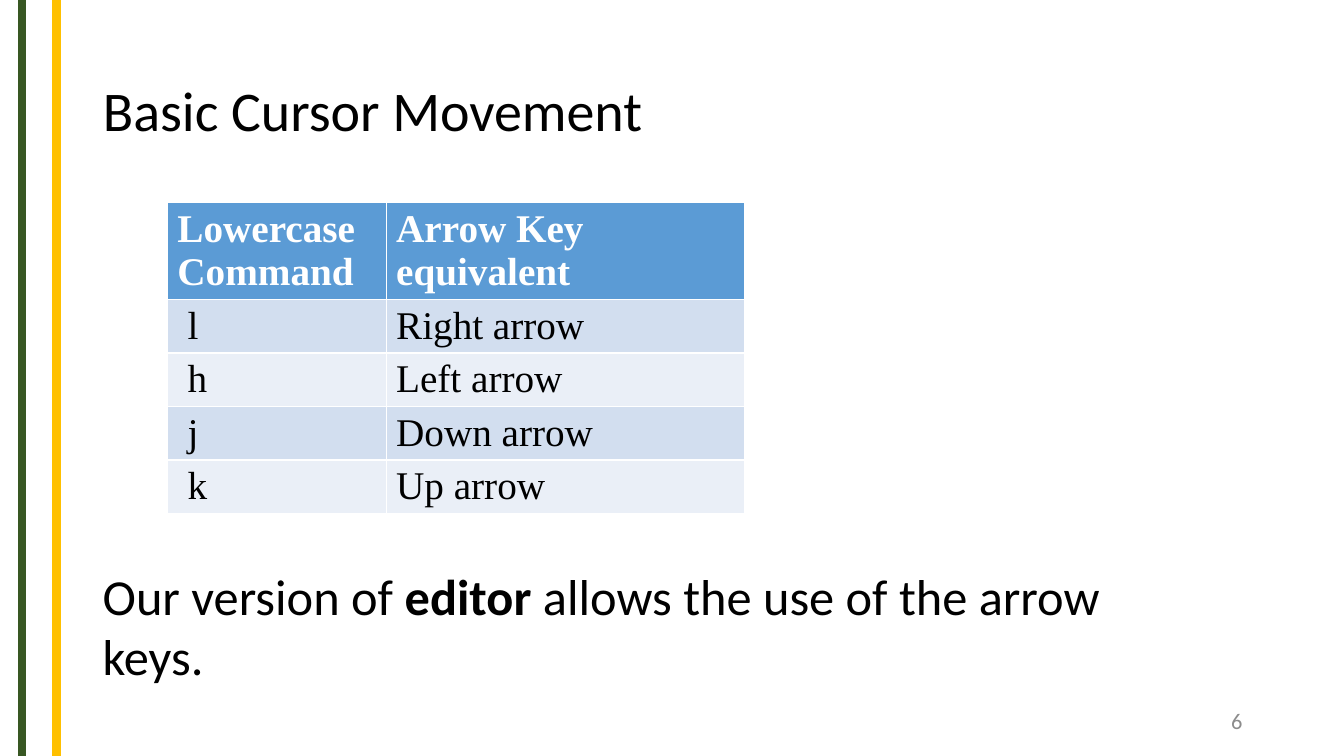
from lxml.etree import SubElement
from pptx import Presentation
from pptx.dml.color import RGBColor
from pptx.enum.shapes import MSO_CONNECTOR
from pptx.enum.text import MSO_ANCHOR, MSO_AUTO_SIZE, PP_ALIGN
from pptx.oxml.ns import qn
from pptx.util import Inches, Pt

SLIDE_WIDTH, SLIDE_HEIGHT = Inches(13.33), Inches(7.5)
LEFT_MARGIN = 0.92
STRIPES = [(0.22, "385723"), (0.56, "FFC000")]
HEADER_FILL = "5B9BD5"
BAND_FILLS = ["D2DEEF", "EAEFF7"]
COLUMN_WIDTHS = [2.17, 3.56]
HEADER_HEIGHT, ROW_HEIGHT = 0.95, 0.53
CURSOR_KEYS = [
    ("Lowercase Command", "Arrow Key equivalent"),
    ("l", "Right arrow"),
    ("h", "Left arrow"),
    ("j", "Down arrow"),
    ("k", "Up arrow"),
]


def color(hex_string):
    return RGBColor.from_string(hex_string)


def format_run(run, size, hex_color="000000", font="Calibri", bold=False):
    run.font.size = Pt(size)
    run.font.name = font
    run.font.bold = bold
    run.font.color.rgb = color(hex_color)


def add_stripe(slide, x, hex_color):
    """Draw a vertical line over the whole height of the slide."""
    stripe = slide.shapes.add_connector(
        MSO_CONNECTOR.STRAIGHT, Inches(x), 0, Inches(x), SLIDE_HEIGHT)
    stripe.line.color.rgb = color(hex_color)
    stripe.line.width = Pt(6)
    SubElement(stripe._element.spPr, qn("a:effectLst"))


def set_title(slide, text):
    title = slide.shapes.title
    title.left, title.top = Inches(LEFT_MARGIN), Inches(0.4)
    title.width, title.height = Inches(11.5), Inches(1.45)
    frame = title.text_frame
    frame.text = text
    frame.auto_size = MSO_AUTO_SIZE.NONE
    frame.vertical_anchor = MSO_ANCHOR.MIDDLE
    paragraph = frame.paragraphs[0]
    paragraph.alignment = PP_ALIGN.LEFT
    paragraph.line_spacing = 0.9
    format_run(paragraph.runs[0], 40)


def add_key_table(slide, rows):
    height = HEADER_HEIGHT + ROW_HEIGHT * (len(rows) - 1)
    table = slide.shapes.add_table(
        len(rows), len(COLUMN_WIDTHS), Inches(1.66), Inches(2.01),
        Inches(sum(COLUMN_WIDTHS)), Inches(height)).table
    for column, width in zip(table.columns, COLUMN_WIDTHS):
        column.width = Inches(width)
    for row_index, texts in enumerate(rows):
        is_header = row_index == 0
        table.rows[row_index].height = Inches(HEADER_HEIGHT if is_header else ROW_HEIGHT)
        fill = HEADER_FILL if is_header else BAND_FILLS[(row_index - 1) % 2]
        for column_index, text in enumerate(texts):
            cell = table.cell(row_index, column_index)
            cell.text_frame.text = text
            cell.fill.solid()
            cell.fill.fore_color.rgb = color(fill)
            if column_index == 0 and not is_header:
                cell.margin_left = Inches(0.2)
            format_run(cell.text_frame.paragraphs[0].runs[0], 28,
                       "FFFFFF" if is_header else "000000",
                       "Times New Roman", is_header)


def add_text(slide, box, parts, size, hex_color="000000", alignment=PP_ALIGN.LEFT):
    """Add a text box from (text, bold) parts."""
    frame = slide.shapes.add_textbox(*map(Inches, box)).text_frame
    frame.word_wrap = True
    frame.vertical_anchor = MSO_ANCHOR.MIDDLE
    paragraph = frame.paragraphs[0]
    paragraph.alignment = alignment
    for text, bold in parts:
        run = paragraph.add_run()
        run.text = text
        format_run(run, size, hex_color, bold=bold)


def main():
    presentation = Presentation()
    presentation.slide_width, presentation.slide_height = SLIDE_WIDTH, SLIDE_HEIGHT
    slide = presentation.slides.add_slide(presentation.slide_layouts.get_by_name("Title Only"))
    for x, hex_color in STRIPES:
        add_stripe(slide, x, hex_color)
    set_title(slide, "Basic Cursor Movement")
    add_key_table(slide, CURSOR_KEYS)
    add_text(slide, (9.42, 6.95, 3, 0.4), [("6", False)], 16, "8C8C8C", PP_ALIGN.RIGHT)
    add_text(slide, (LEFT_MARGIN, 5.85, 10.81, 0.71),
             [("Our version of ", False), ("editor", True),
              (" allows the use of the arrow keys.", False)], 36)
    presentation.save("out.pptx")


if __name__ == "__main__":
    main()
